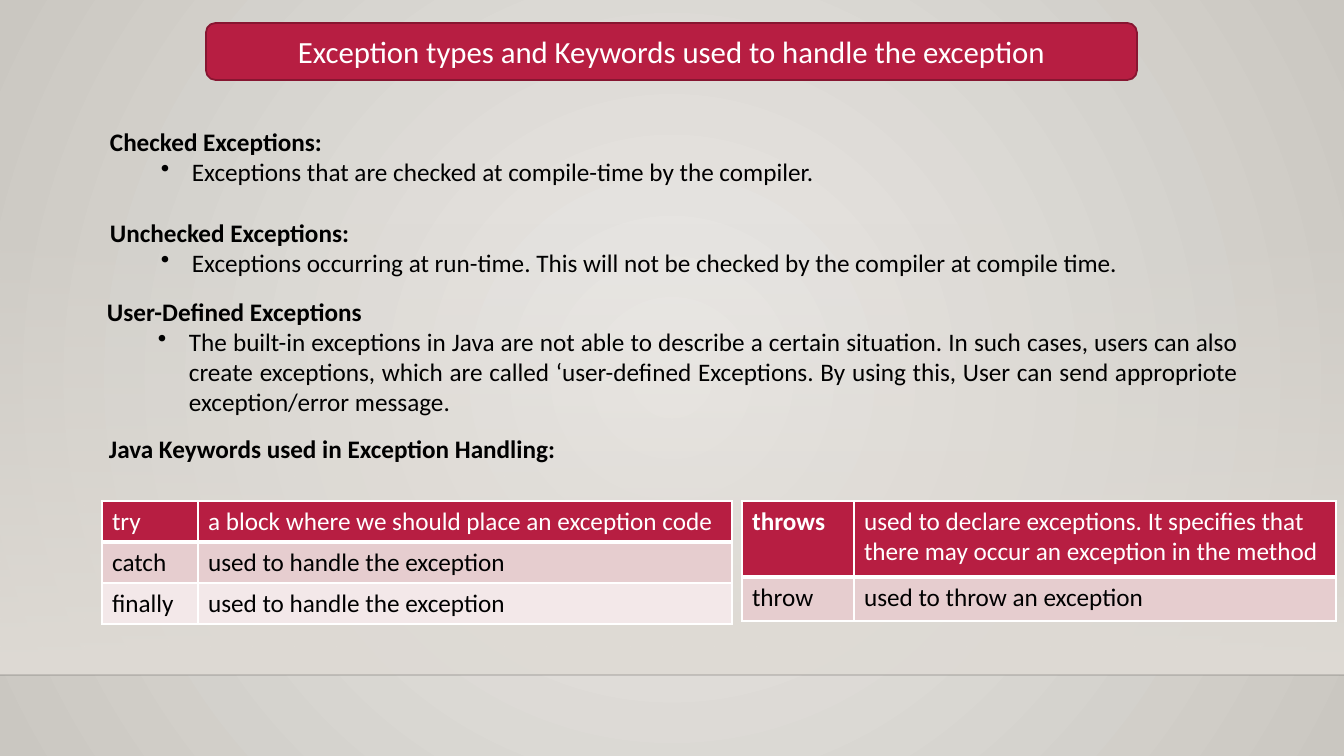
import pptx
import pptx.util
import pptx.dml.color
import pptx.enum.shapes
import pptx.enum.text
import pptx.oxml
import pptx.oxml.ns
import lxml.etree

PX = 914400 / 100.8
ALIGN = pptx.enum.text.PP_ALIGN
RED, BLACK, WHITE = "B71E42", "000000", "FFFFFF"
BANDS = [RED, "E6CDCF", "F3E8E9"]


def px(num):
    return pptx.util.Emu(round(num * PX))


def color(code):
    return pptx.dml.color.RGBColor.from_string(code)


def add(node, tag, **attrs):
    return lxml.etree.SubElement(node, pptx.oxml.ns.qn(tag), **attrs)


class Deck:
    """Draws styled elements on the current slide."""

    def __init__(self, wide, high):
        self.file = pptx.Presentation()
        self.file.slide_width, self.file.slide_height = px(wide), px(high)
        self.slide = self.file.slides.add_slide(self.file.slide_layouts[6])
        self.face, self.size = "Calibri", 18

    def font(self, para, tint=BLACK, bold=False, size=None):
        font = para.font
        font.name, font.bold = self.face, bold
        font.size = pptx.util.Pt(size or self.size)
        font.color.rgb = color(tint)

    def blend(self, fill, first, last):
        fill.gradient()
        for stop, place, tint in zip(fill.gradient_stops, (0, 1), (first, last)):
            stop.position = place
            stop.color.rgb = color(tint)

    def backdrop(self, inner, outer):
        self.blend(self.slide.background.fill, inner, outer)
        grad = next(self.slide.element.iter(pptx.oxml.ns.qn("a:gradFill")))
        grad.remove(grad.find(pptx.oxml.ns.qn("a:lin")))
        ring = add(grad, "a:path", path="circle")
        add(ring, "a:fillToRect", l="50000", t="50000", r="50000", b="50000")

    def shape(self, kind, left, top, wide, high):
        item = self.slide.shapes.add_shape(kind, px(left), px(top), px(wide), px(high))
        item.shadow.inherit = False
        return item

    def haze(self, left, top, wide, high, tint):
        item = self.shape(pptx.enum.shapes.MSO_SHAPE.RECTANGLE, left, top, wide, high)
        self.blend(item.fill, tint, tint)
        item.fill.gradient_angle = 270
        item.line.fill.background()
        first = next(item.element.iter(pptx.oxml.ns.qn("a:srgbClr")))
        add(first, "a:alpha", val="0")

    def rule(self, left, top, right, tint):
        line = self.slide.shapes.add_connector(pptx.enum.shapes.MSO_CONNECTOR.STRAIGHT,
                                               px(left), px(top), px(right), px(top))
        line.line.width = pptx.util.Pt(1)
        line.line.color.rgb = color(tint)
        add(next(line.element.iter(pptx.oxml.ns.qn("a:srgbClr"))), "a:alpha", val="20000")
        add(line.element.spPr, "a:effectLst")

    def title(self, left, top, wide, high, text):
        item = self.shape(pptx.enum.shapes.MSO_SHAPE.ROUNDED_RECTANGLE, left, top, wide, high)
        item.fill.solid()
        item.fill.fore_color.rgb = color(RED)
        item.line.color.rgb = color("871631")
        item.line.width = pptx.util.Pt(1.25)
        item.text_frame.vertical_anchor = pptx.enum.text.MSO_ANCHOR.MIDDLE
        para = item.text_frame.paragraphs[0]
        para.text, para.alignment = text, ALIGN.CENTER
        self.font(para, WHITE, size=22)

    def notes(self, left, top, wide, high, topics, align=ALIGN.LEFT):
        box = self.slide.shapes.add_textbox(px(left), px(top), px(wide), px(high))
        frame = box.text_frame
        frame.word_wrap = True
        for rank, (head, *points) in enumerate(topics):
            para = frame.add_paragraph() if rank else frame.paragraphs[0]
            para.text, para.alignment = head, align
            para.space_before = pptx.util.Pt(22 if rank else 0)
            self.font(para, bold=True)
            for point in points:
                self.bullet(frame.add_paragraph(), point, align)

    def bullet(self, para, text, align):
        para.text, para.alignment = text, align
        self.font(para)
        props = para._p.get_or_add_pPr()
        props.set("marL", str(px(82)))
        props.set("indent", str(px(-31)))
        mark = pptx.oxml.parse_xml(f'<a:buChar {pptx.oxml.ns.nsdecls("a")} char="•"/>')
        props.insert_element_before(mark, "a:tabLst", "a:defRPr", "a:extLst")

    def table(self, left, top, cols, highs, rows, bold=()):
        grid = self.slide.shapes.add_table(len(rows), len(cols), px(left), px(top),
                                           px(sum(cols)), px(sum(highs))).table
        for col, wide in zip(grid.columns, cols):
            col.width = px(wide)
        for y, (row, high) in enumerate(zip(rows, highs)):
            grid.rows[y].height = px(high)
            for x, text in enumerate(row):
                cell = grid.cell(y, x)
                para = cell.text_frame.paragraphs[0]
                para.text = text
                self.font(para, BLACK if y else WHITE, text in bold)
                self.edges(cell, y)
                cell.fill.solid()
                cell.fill.fore_color.rgb = color(BANDS[y])

    def edges(self, cell, row):
        thick = {0: "B", 1: "T"}.get(row)
        for side in "LRTB":
            width = pptx.util.Pt(3 if side == thick else 1)
            line = add(cell._tc.get_or_add_tcPr(), f"a:ln{side}", w=str(width))
            add(add(line, "a:solidFill"), "a:srgbClr", val=WHITE)


def main():
    deck = Deck(1344, 756)
    deck.backdrop("ECEAE7", "CAC7C1")
    deck.haze(0, 223, 1344, 452, "DFDBD5")
    deck.rule(0, 675, 1344, "000001")
    deck.notes(100, 121, 1151, 163, [
        ("Checked Exceptions:",
         "Exceptions that are checked at compile-time by the compiler."),
        ("Unchecked Exceptions:",
         "Exceptions occurring at run-time. This will not be checked by the compiler "
         "at compile time.")])
    deck.notes(97, 291, 1151, 132, [
        ("User-Defined Exceptions",
         "The built-in exceptions in Java are not able to describe a certain situation. "
         "In such cases, users can also create exceptions, which are called "
         "‘user-defined Exceptions. By using this, User can send appropriote "
         "exception/error message.")], ALIGN.JUSTIFY)
    deck.notes(99, 428, 538, 40, [("Java Keywords used in Exception Handling:",)])
    deck.table(102, 501, [96, 534], [41] * 3, [
        ("try", "a block where we should place an exception code"),
        ("catch", "used to handle the exception"),
        ("finally", "used to handle the exception")])
    deck.table(742, 501, [112, 482], [76, 44], [
        ("throws", "used to declare exceptions. It specifies that there may occur "
                   "an exception in the method"),
        ("throw", "used to throw an exception")], bold=("throws",))
    deck.title(206, 23, 931, 57, "Exception types and Keywords used to handle the exception")
    deck.file.save("out.pptx")


if __name__ == "__main__":
    main()
